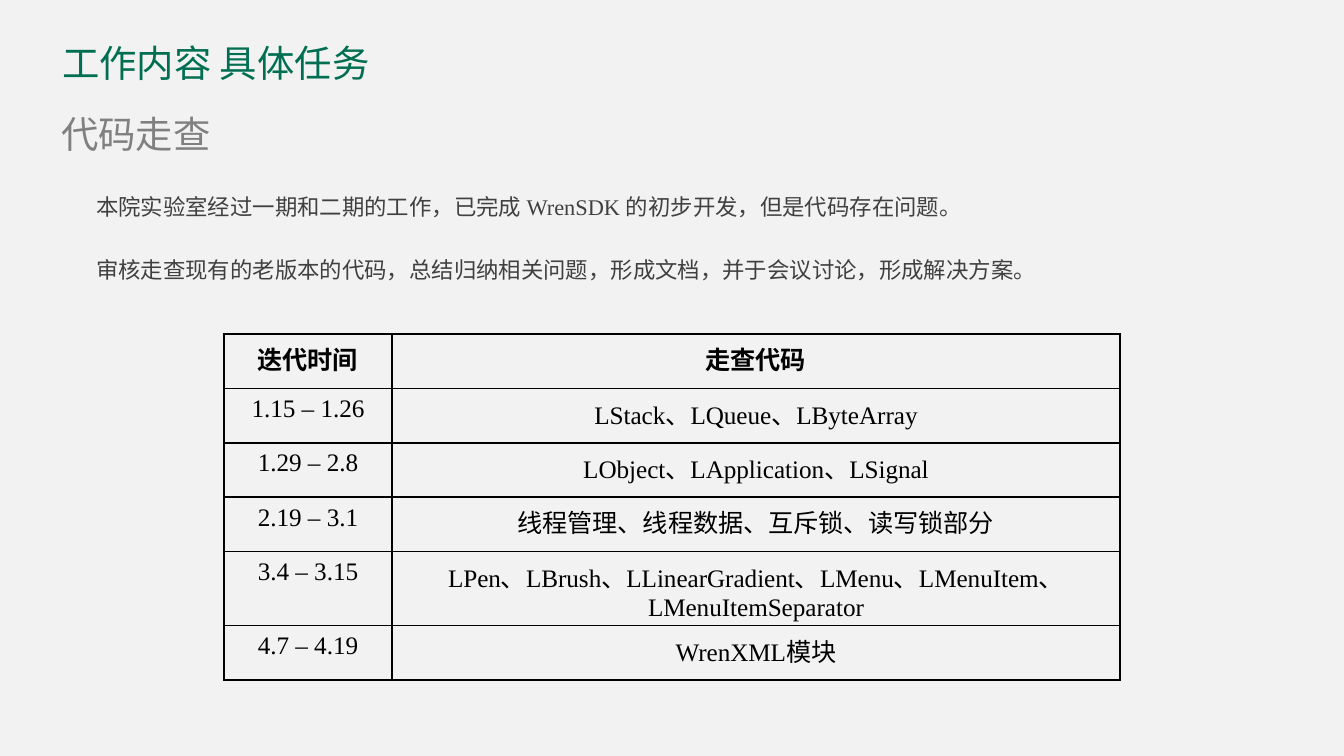
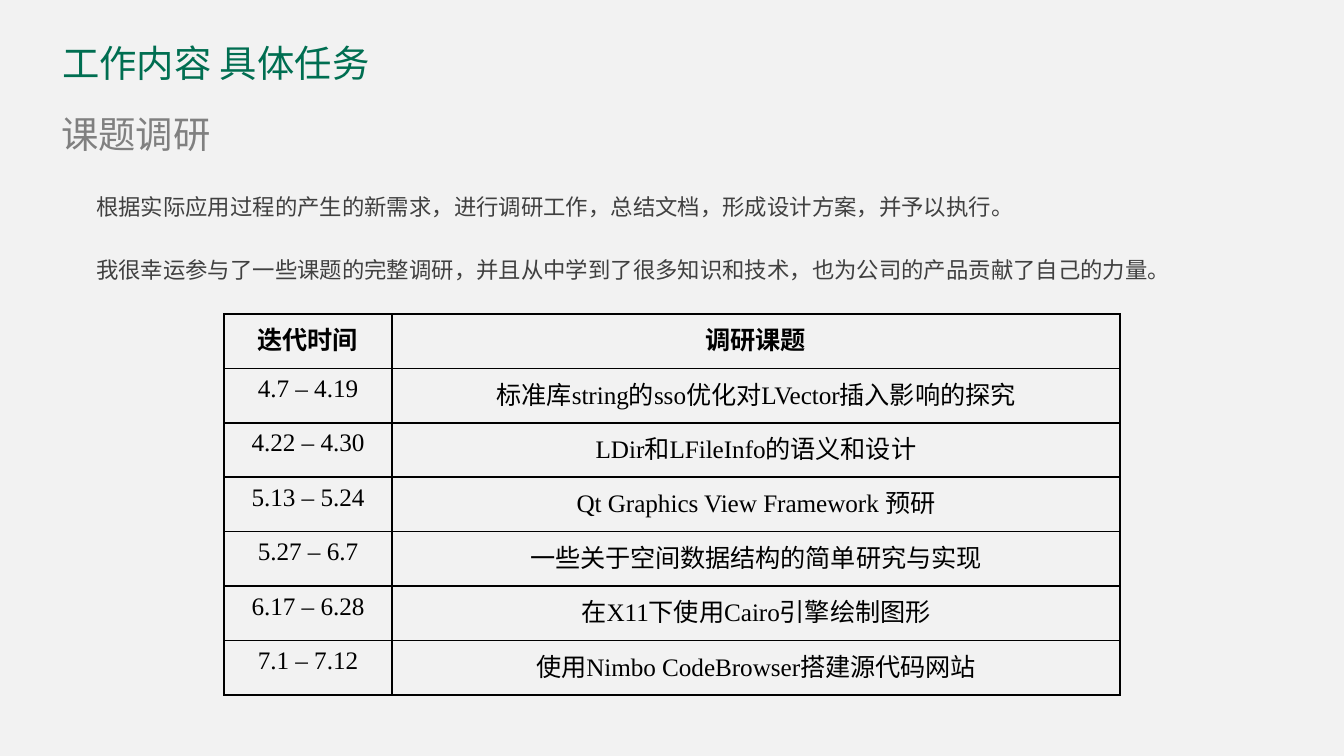
from lxml.etree import SubElement
from pptx import Presentation
from pptx.dml.color import RGBColor
from pptx.enum.lang import MSO_LANGUAGE_ID as Language
from pptx.enum.text import MSO_AUTO_SIZE as AutoSize, PP_ALIGN as Align
from pptx.oxml.ns import qn
from pptx.util import Emu, Pt

TITLE = "工作内容 具体任务"
SLIDES = [
    {
        "subtitle": "代码走查",
        "body": [
            "本院实验室经过一期和二期的工作，已完成 WrenSDK 的初步开发，但是代码存在问题。",
            "审核走查现有的老版本的代码，总结归纳相关问题，形成文档，并于会议讨论，形成解决方案。",
        ],
        "table_top": 334,
        "rows": [
            ("迭代时间", "走查代码"),
            ("1.15 – 1.26", "LStack、LQueue、LByteArray"),
            ("1.29 – 2.8", "LObject、LApplication、LSignal"),
            ("2.19 – 3.1", "线程管理、线程数据、互斥锁、读写锁部分"),
            ("3.4 – 3.15", "LPen、LBrush、LLinearGradient、LMenu、LMenuItem、LMenuItemSeparator"),
            ("4.7 – 4.19", "WrenXML模块"),
        ],
    },
    {
        "subtitle": "课题调研",
        "body": [
            "根据实际应用过程的产生的新需求，进行调研工作，总结文档，形成设计方案，并予以执行。",
            "我很幸运参与了一些课题的完整调研，并且从中学到了很多知识和技术，也为公司的产品贡献了自己的力量。",
        ],
        "table_top": 314,
        "rows": [
            ("迭代时间", "调研课题"),
            ("4.7 – 4.19", "标准库string的sso优化对LVector插入影响的探究"),
            ("4.22 – 4.30", "LDir和LFileInfo的语义和设计"),
            ("5.13 – 5.24", "Qt Graphics View Framework 预研"),
            ("5.27 – 6.7", "一些关于空间数据结构的简单研究与实现"),
            ("6.17 – 6.28", "在X11下使用Cairo引擎绘制图形"),
            ("7.1 – 7.12", "使用Nimbo CodeBrowser搭建源代码网站"),
        ],
    },
]

BACKGROUND = "F2F2F2"
SANS, SERIF = "Noto Sans CJK SC", "Times New Roman"
TITLE_FONT = {"name": SANS, "size": Pt(20), "color": "006E51"}
SUBTITLE_FONT = {"name": SERIF, "size": Pt(20), "color": "808080"}
BODY_FONT = {"name": SERIF, "size": Pt(12), "color": "404040"}
CELL_FONT = {"name": SERIF, "size": Pt(13.5), "color": "000000"}
BODY_SPACING = {"line_spacing": 1.5, "space_before": Pt(6), "space_after": Pt(6)}
CENTERED = {"alignment": Align.CENTER}
BORDER_COLOR, BORDER_WIDTH = "000000", Pt(1)


def px(length):
    return Emu(round(length * 914400 / 134.4))


TITLE_BOX = (62, 40, 408, 46)
SUBTITLE_BOX = (61, 111, 161, 46)
BODY_BOX = (83, 173, 1129, 116)
TABLE_LEFT = 224
COLUMN_WIDTHS = (168, 728)
ROW_HEIGHT = px(381) // 7


def rgb(color):
    return RGBColor.from_string(color)


def set_attributes(target, values):
    for name, value in values.items():
        setattr(target, name, value)


def write(paragraph, text, font, layout):
    set_attributes(paragraph, layout)
    run = paragraph.add_run()
    run.text = text
    set_attributes(run.font, {key: value for key, value in font.items() if key != "color"})
    run.font.color.rgb = rgb(font["color"])
    run.font.language_id = Language.SIMPLIFIED_CHINESE
    SubElement(run._r.get_or_add_rPr(), qn("a:ea"), typeface=SANS)


def add_text(slide, box, lines, font, layout, margins=(0, 0)):
    shape = slide.shapes.add_textbox(*map(px, box))
    frame = shape.text_frame
    horizontal, vertical = map(px, margins)
    set_attributes(frame, {
        "word_wrap": True, "auto_size": AutoSize.SHAPE_TO_FIT_TEXT,
        "margin_left": horizontal, "margin_right": horizontal,
        "margin_top": vertical, "margin_bottom": vertical,
    })
    for index, line in enumerate(lines):
        paragraph = frame.add_paragraph() if index else frame.paragraphs[0]
        write(paragraph, line, font, layout)


def add_borders(cell):
    properties = cell._tc.get_or_add_tcPr()
    for index, side in enumerate("LRTB"):
        line = SubElement(properties, qn(f"a:ln{side}"), w=str(BORDER_WIDTH))
        fill = SubElement(line, qn("a:solidFill"))
        SubElement(fill, qn("a:srgbClr"), val=BORDER_COLOR)
        properties.insert(index, line)


def add_table(slide, top, rows):
    frame = slide.shapes.add_table(
        len(rows), len(COLUMN_WIDTHS), px(TABLE_LEFT), px(top),
        px(sum(COLUMN_WIDTHS)), ROW_HEIGHT * len(rows))
    table = frame.table
    set_attributes(table, {"first_row": False, "horz_banding": False})
    for column, width in zip(table.columns, COLUMN_WIDTHS):
        column.width = px(width)
    for row_index, (row, texts) in enumerate(zip(table.rows, rows)):
        row.height = ROW_HEIGHT
        font = {**CELL_FONT, "bold": row_index == 0}
        for cell, text in zip(row.cells, texts):
            write(cell.text_frame.paragraphs[0], text, font, CENTERED)
            cell.fill.background()
            add_borders(cell)


def add_task_slide(presentation, content):
    slide = presentation.slides.add_slide(presentation.slide_layouts[6])
    fill = slide.background.fill
    fill.solid()
    fill.fore_color.rgb = rgb(BACKGROUND)
    add_text(slide, TITLE_BOX, [TITLE], TITLE_FONT, {})
    add_text(slide, BODY_BOX, content["body"], BODY_FONT, BODY_SPACING, (13, 7))
    add_text(slide, SUBTITLE_BOX, [content["subtitle"]], SUBTITLE_FONT, {})
    add_table(slide, content["table_top"], content["rows"])


def main():
    presentation = Presentation()
    set_attributes(presentation, {"slide_width": px(1344), "slide_height": px(756)})
    for content in SLIDES:
        add_task_slide(presentation, content)
    presentation.save("out.pptx")


if __name__ == "__main__":
    main()
